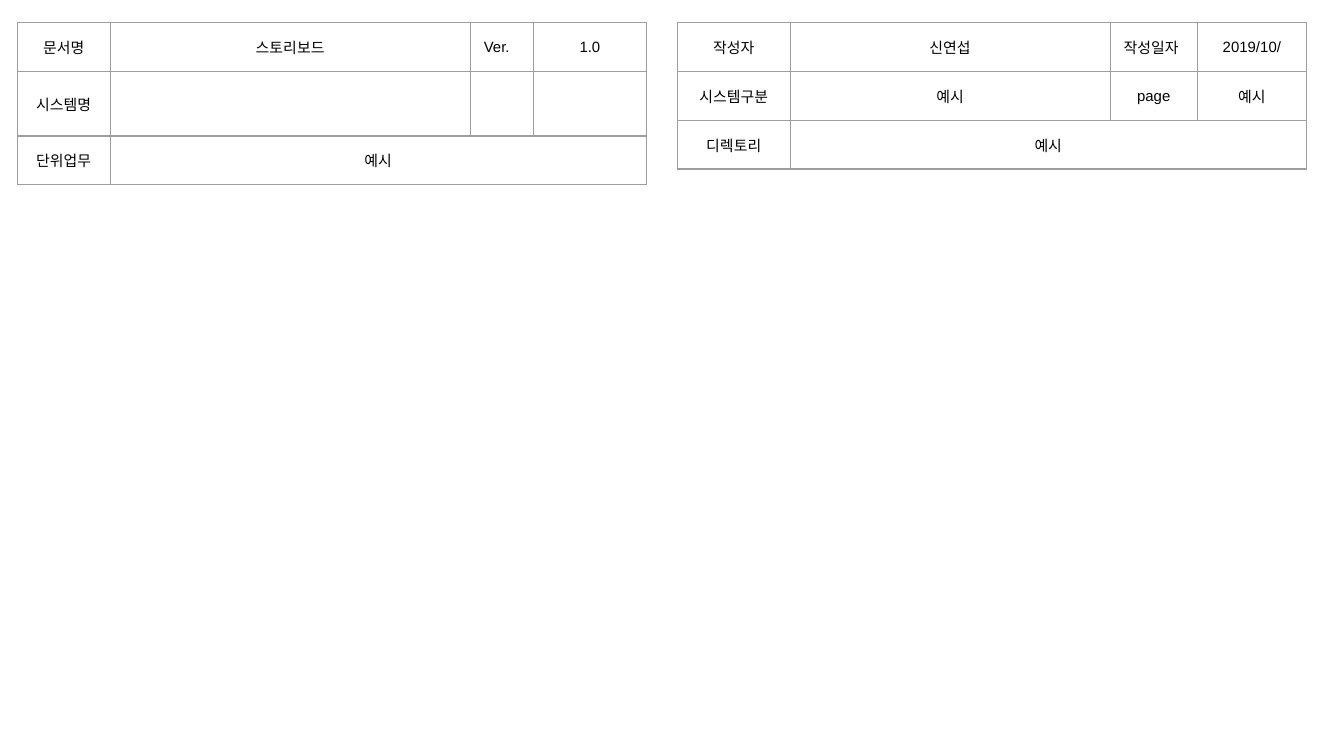
import pptx
import pptx.util
import pptx.dml.color
import pptx.enum.text
import pptx.oxml
import pptx.oxml.ns
from pptx.util import Inches

BLACK = pptx.dml.color.RGBColor(0x00, 0x00, 0x00)
GRAY = pptx.dml.color.RGBColor(0x9E, 0x9E, 0x9E)
CENTER = pptx.enum.text.PP_ALIGN.CENTER
LEFT = pptx.enum.text.PP_ALIGN.LEFT
MIDDLE = pptx.enum.text.MSO_ANCHOR.MIDDLE


def write(tf, text, size=8, font="Arial", color=BLACK, align=CENTER):
    p = tf.paragraphs[0]
    p.alignment = align
    r = p.add_run()
    r.text = text
    r.font.size = pptx.util.Pt(size)
    r.font.name = font
    r.font.color.rgb = color


def add_borders(cell, color=GRAY, width=0.75):
    tcPr = cell._tc.get_or_add_tcPr()
    for side in ("lnL", "lnR", "lnT", "lnB"):
        tcPr.append(pptx.oxml.parse_xml(
            f'<a:{side} {pptx.oxml.ns.nsdecls("a")} w="{pptx.util.Pt(width)}">'
            f'<a:solidFill><a:srgbClr val="{color}"/></a:solidFill></a:{side}>'))


prs = pptx.Presentation()
prs.slide_width = Inches(10)
prs.slide_height = Inches(10 * 9 / 16)
s = prs.slides.add_slide(prs.slide_layouts[6])

tables = [
    (0.13, [0.69, 2.68, 0.47, 0.84], [0.36, 0.48, 0.36], [
        ["문서명", "스토리보드", "Ver.", "1.0"],
        ["시스템명", "", "", ""],
        ["단위업무", "예시", "", ""],
    ]),
    (5.04, [0.84, 2.38, 0.65, 0.81], [0.36, 0.36, 0.36], [
        ["작성자", "신연섭", "작성일자", "2019/10/"],
        ["시스템구분", "예시", "page", "예시"],
        ["디렉토리", "예시", "", ""],
    ]),
]

for left, widths, heights, rows in tables:
    table = s.shapes.add_table(
        len(rows), len(widths), Inches(left), Inches(0.17),
        Inches(sum(widths)), Inches(sum(heights))).table
    table.first_row = False
    table.horz_banding = False
    for column, width in zip(table.columns, widths):
        column.width = Inches(width)
    for row, height in zip(table.rows, heights):
        row.height = Inches(height)
    table.cell(2, 1).merge(table.cell(2, 3))

    for i, row in enumerate(rows):
        for j, text in enumerate(row):
            cell = table.cell(i, j)
            add_borders(cell)
            cell.fill.background()
            if text:
                cell.vertical_anchor = MIDDLE
                cell.margin_left = cell.margin_right = Inches(0.1)
                cell.margin_top = cell.margin_bottom = Inches(0.1)
                write(cell.text_frame, text, align=LEFT if (i, j) == (0, 2) else CENTER)

prs.save("out.pptx")
